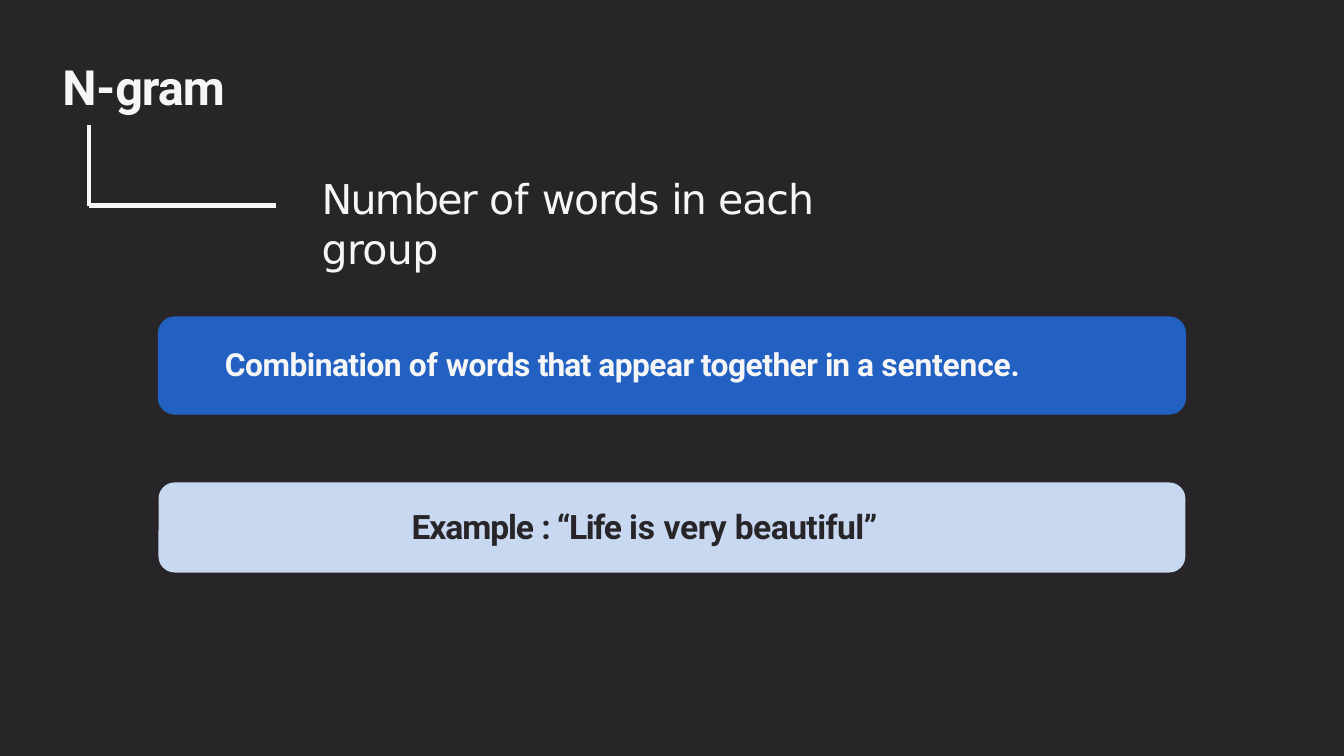
from dataclasses import dataclass

from pptx import Presentation, util as u
from pptx.dml.color import RGBColor
from pptx.enum import shapes, text


@dataclass(frozen=True)
class Theme:
    dark: str = "272528"
    light: str = "F6F6F6"
    blue: str = "2261C1"
    pale: str = "C8D8F0"
    heading_font: str = "Roboto"
    body_font: str = "DejaVu Sans"
    title_size: int = 26
    body_size: int = 22
    definition_size: int = 17
    example_size: int = 18
    branch_width: float = 2.25
    outline_width: float = 0.75
    corner: float = 0.12


class SlideBuilder:
    def __init__(self, slide, theme):
        self.slide = slide
        self.theme = theme

    def background(self, color):
        fill = self.slide.background.fill
        fill.solid()
        fill.fore_color.rgb = RGBColor.from_string(color)

    def panel(self, left, top, width, height, color, outlined=False):
        panel = self.slide.shapes.add_shape(
            shapes.MSO_SHAPE.ROUNDED_RECTANGLE,
            u.Inches(left), u.Inches(top), u.Inches(width), u.Inches(height))
        panel.shadow.inherit = False
        panel.adjustments[0] = self.theme.corner / height
        panel.fill.solid()
        panel.fill.fore_color.rgb = RGBColor.from_string(color)
        if outlined:
            panel.line.color.rgb = RGBColor.from_string(color)
            panel.line.width = u.Pt(self.theme.outline_width)
        else:
            panel.line.fill.background()

    def branch(self, left, top, right, bottom):
        start, corner, end = [
            (u.Inches(x), u.Inches(y))
            for x, y in ((left, top), (left, bottom), (right, bottom))]
        outline = self.slide.shapes.build_freeform(*start)
        outline.add_line_segments([corner], close=False)
        outline.move_to(*corner)
        outline.add_line_segments([end], close=False)
        branch = outline.convert_to_shape()
        branch.shadow.inherit = False
        branch.fill.background()
        branch.line.color.rgb = RGBColor.from_string(self.theme.light)
        branch.line.width = u.Pt(self.theme.branch_width)

    def label(self, left, top, width, height, runs, size, color,
              font=None, bold=True):
        label = self.slide.shapes.add_textbox(
            u.Inches(left), u.Inches(top), u.Inches(width), u.Inches(height))
        frame = label.text_frame
        frame.word_wrap = True
        frame.auto_size = text.MSO_AUTO_SIZE.SHAPE_TO_FIT_TEXT
        frame.margin_left = frame.margin_top = u.Pt(1)
        frame.margin_right = frame.margin_bottom = 0
        paragraph = frame.paragraphs[0]
        paragraph.space_before = u.Pt(1)
        for words, spacing in runs:
            run = paragraph.add_run()
            run.text = words
            run.font.name = font or self.theme.heading_font
            run.font.size = u.Pt(size)
            run.font.bold = bold
            run.font.color.rgb = RGBColor.from_string(color)
            run._r.get_or_add_rPr().set("spc", str(round(spacing * 100)))


def main():
    deck = Presentation()
    deck.slide_width = u.Inches(10)
    deck.slide_height = deck.slide_width * 9 // 16
    theme = Theme()
    page = SlideBuilder(deck.slides.add_slide(deck.slide_layouts[6]), theme)

    page.background(theme.dark)
    page.label(0.45, 0.41, 1.37, 0.46, [("N-", -0.1), ("gram", -0.6)],
               theme.title_size, theme.light)

    page.panel(1.18, 2.36, 7.64, 0.72, theme.blue, outlined=True)
    definition = [("Combination ", -0.3), ("of ", -0.1), ("words ", -0.3),
                  ("that ", -0.5), ("appear together ", -0.3), ("in ", -0.6),
                  ("a ", -0.4), ("sentence.", -0.1)]
    page.label(1.66, 2.55, 6.68, 0.31, definition,
               theme.definition_size, theme.light)

    page.branch(0.66, 0.93, 2.05, 1.53)
    meaning = [("Number ", -0.9), ("of ", 0), ("words ", -0.6),
               ("in ", -1), ("each ", -0.5), ("group", -0.3)]
    page.label(2.38, 1.28, 4.58, 0.39, meaning, theme.body_size, theme.light,
               theme.body_font, bold=False)

    page.panel(1.18, 3.59, 7.64, 0.67, theme.pale)
    example = [("Example ", -0.6), (": ", -1.3), ("“Life ", -0.7),
               ("is ", 0), ("very ", -0.2), ("beautiful”", -0.3)]
    page.label(3.05, 3.75, 3.9, 0.33, example, theme.example_size, theme.dark)

    deck.save("out.pptx")


if __name__ == "__main__":
    main()
